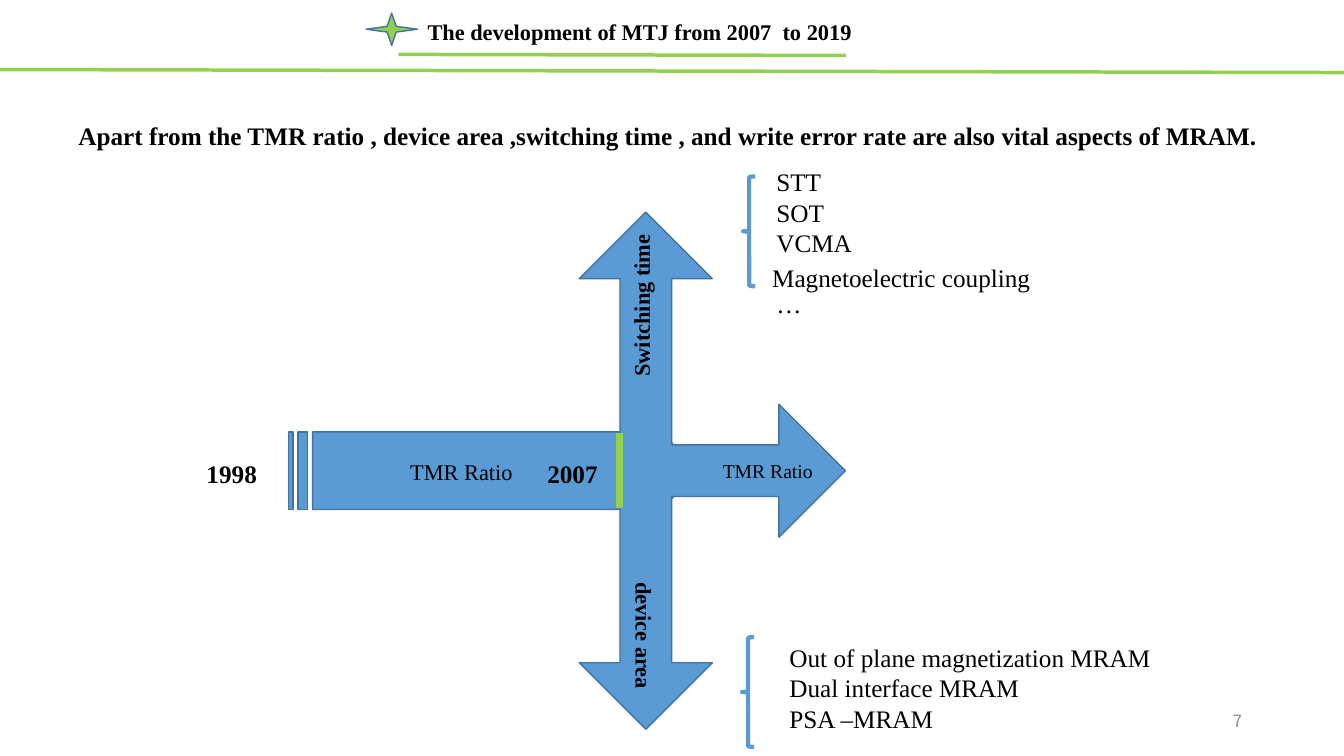
from lxml import etree
from pptx import Presentation, util as u
from pptx.dml.color import RGBColor
from pptx.enum import shapes, text
from pptx.oxml import ns

GREEN, BLUE, OUTLINE = "92D050", "5B9BD5", "43739E"
BLACK, GREY = "000000", "8C8C8C"
TWO_CONTENT_LAYOUT = 3
LIST_PITCH = 21.7


def color(hex_value):
    return RGBColor.from_string(hex_value)


def inches(*lengths):
    return [u.Inches(length) for length in lengths]


def set_attributes(target, values):
    for name, value in values.items():
        setattr(target, name, value)


class SlideBuilder:
    """Holds the text style and the slide being built."""

    font_name = "Times New Roman"

    def __init__(self, slide):
        self.slide = slide

    def fill_text(self, shape, lines, size, bold=False, hex_value=BLACK, font=None,
                  align=text.PP_ALIGN.LEFT, anchor=text.MSO_ANCHOR.TOP, pitch=None):
        """Fill a shape with unbulleted paragraphs, one per line."""
        frame = shape.text_frame
        set_attributes(frame, {"word_wrap": True, "vertical_anchor": anchor,
                               "auto_size": text.MSO_AUTO_SIZE.NONE})
        for index, line in enumerate(lines):
            paragraph = frame.paragraphs[0] if index == 0 else frame.add_paragraph()
            properties = paragraph._p.get_or_add_pPr()
            properties.set("marL", "0")
            properties.set("indent", "0")
            etree.SubElement(properties, ns.qn("a:buNone"))
            set_attributes(paragraph, {"alignment": align, "space_before": u.Pt(0)})
            if pitch:
                paragraph.line_spacing = u.Pt(pitch)
            run = paragraph.add_run()
            run.text = line
            set_attributes(run.font, {"name": font or self.font_name,
                                      "size": u.Pt(size), "bold": bold})
            run.font.color.rgb = color(hex_value)
        return frame

    def placeholder(self, index, box, lines, size, **style):
        shape = self.slide.placeholders[index]
        set_attributes(shape, dict(zip(("left", "top", "width", "height"), inches(*box))))
        return self.fill_text(shape, lines, size, **style)

    def label(self, box, line, size, rotation=0, **style):
        shape = self.slide.shapes.add_textbox(*inches(*box))
        shape.rotation = rotation
        self.fill_text(shape, [line], size, **style)

    def shape(self, kind, box, fill, line, width=1, rotation=0, adjustments=()):
        shape = self.slide.shapes.add_shape(kind, *inches(*box))
        shape.shadow.inherit = False
        shape.rotation = rotation
        for index, value in enumerate(adjustments):
            shape.adjustments[index] = value
        if fill:
            shape.fill.solid()
            shape.fill.fore_color.rgb = color(fill)
        else:
            shape.fill.background()
        shape.line.color.rgb = color(line)
        shape.line.width = u.Pt(width)

    def rule(self, *ends):
        line = self.slide.shapes.add_connector(shapes.MSO_CONNECTOR.STRAIGHT, *inches(*ends))
        line.line.color.rgb = color(GREEN)
        line.line.width = u.Pt(2.5)
        etree.SubElement(line._element.spPr, ns.qn("a:effectLst"))


def main():
    presentation = Presentation()
    presentation.slide_width, presentation.slide_height = inches(13.33, 7.5)
    layout = presentation.slide_layouts[TWO_CONTENT_LAYOUT]
    builder = SlideBuilder(presentation.slides.add_slide(layout))
    kinds = shapes.MSO_SHAPE

    builder.rule(3.95, 0.54, 8.39, 0.55)
    builder.rule(0, 0.69, 13.33, 0.72)
    builder.placeholder(0, (4.14, 0.13, 4.6, 0.4),
                        ["The development of MTJ from 2007  to 2019"], 16, bold=True)
    builder.shape(kinds.STAR_4_POINT, (3.63, 0.13, 0.51, 0.32), GREEN, OUTLINE)
    builder.label((0.68, 1.14, 12.34, 0.4),
                  "Apart from the TMR ratio , device area ,switching time , "
                  "and write error rate are also vital aspects of MRAM.", 18, bold=True)

    builder.shape(kinds.STRIPED_RIGHT_ARROW, (2.86, 3.9, 4.08, 1.54), BLUE, OUTLINE)
    builder.shape(kinds.LEFT_RIGHT_UP_ARROW, (4.5, 3.35, 5.13, 2.64), BLUE, OUTLINE,
                  rotation=90, adjustments=(0.194, 0.25, 0.25))
    builder.shape(kinds.RECTANGLE, (6.12, 4.3, 0.05, 0.73), GREEN, GREEN)
    builder.label((3.97, 4.5, 1.31, 0.37), "TMR Ratio", 16)
    builder.label((7.07, 4.5, 1.69, 0.34), "TMR Ratio", 14)
    for left, year in ((1.95, "1998"), (5.33, "2007")):
        builder.label((left, 4.5, 0.8, 0.4), year, 18, bold=True)
    builder.label((5.18, 2.47, 2.36, 0.37), "Switching time", 16, rotation=270, bold=True)
    builder.label((5.72, 6.12, 1.34, 0.37), "device area", 16, rotation=90, bold=True,
                  align=text.PP_ALIGN.CENTER)

    for left, top in ((7.37, 1.75), (7.36, 6.32)):
        builder.shape(kinds.LEFT_BRACE, (left, top, 0.12, 1.09), None, BLUE, width=3)
    switching = builder.placeholder(1, (7.6, 1.6, 1.1, 1.62), ["STT", "SOT", "VCMA", "…"],
                                    18, pitch=LIST_PITCH)
    switching.paragraphs[-1].space_before = u.Pt(LIST_PITCH)
    builder.label((7.56, 2.55, 2.92, 0.4), "Magnetoelectric coupling", 18)
    builder.placeholder(2, (7.73, 6.32, 3.9, 1.1),
                        ["Out of plane magnetization MRAM", "Dual interface MRAM",
                         "PSA –MRAM"], 18, pitch=LIST_PITCH)
    builder.label((9.42, 6.95, 3, 0.4), "7", 12, hex_value=GREY, font="Noto Sans CJK SC",
                  align=text.PP_ALIGN.RIGHT, anchor=text.MSO_ANCHOR.MIDDLE)
    presentation.save("out.pptx")


if __name__ == "__main__":
    main()
